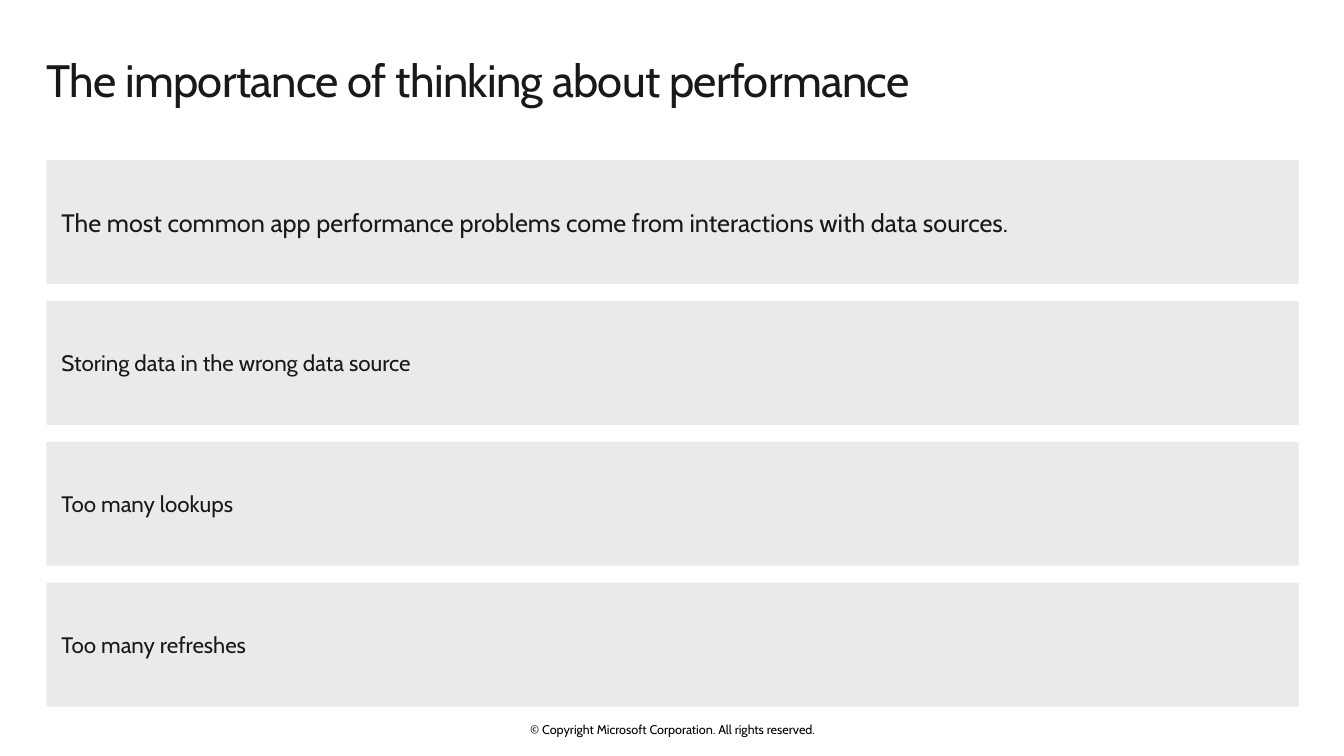
import pptx
import pptx.dml.color
import pptx.enum.shapes
import pptx.enum.text
import pptx.util

Inches = pptx.util.Inches
Pt = pptx.util.Pt
ALIGN = pptx.enum.text.PP_ALIGN
ANCHOR = pptx.enum.text.MSO_ANCHOR

INK = "191919"
PANEL = "EAEAEA"
FONT = "Cabin"
POINTS = [
    ("The most common app performance problems come from interactions with data sources.", 18),
    ("Storing data in the wrong data source", 16),
    ("Too many lookups", 16),
    ("Too many refreshes", 16),
]


def rgb(value):
    return pptx.dml.color.RGBColor.from_string(value)


def write(sp, text, size, color, insets, anchor, align=ALIGN.LEFT):
    tf = sp.text_frame
    tf.word_wrap = True
    tf.vertical_anchor = anchor
    tf.margin_left, tf.margin_top, tf.margin_right, tf.margin_bottom = map(Inches, insets)
    tf.text = text
    p = tf.paragraphs[0]
    p.alignment = align
    r = p.runs[0]
    r.font.name = FONT
    r.font.size = Pt(size)
    r.font.color.rgb = rgb(color)
    return p


def add_title(s, x, y, w, h):
    sp = s.shapes.add_textbox(Inches(x), Inches(y), Inches(w), Inches(h))
    p = write(sp, "The importance of thinking about performance", 32.4, INK,
              (0, 0.1, 0.16, 0.1), ANCHOR.TOP)
    p.line_spacing = 0.9
    p.runs[0].font._element.set("spc", "-50")


def add_points(s, x, y, w, h, gap=0.17):
    row_h = (h - gap * (len(POINTS) - 1)) / len(POINTS)
    for i, (text, size) in enumerate(POINTS):
        sp = s.shapes.add_shape(
            pptx.enum.shapes.MSO_SHAPE.RECTANGLE,
            Inches(x), Inches(y + i * (row_h + gap)), Inches(w), Inches(row_h))
        sp.shadow.inherit = False
        sp.fill.solid()
        sp.fill.fore_color.rgb = rgb(PANEL)
        sp.line.fill.background()
        p = write(sp, text, size, INK, (0.15, 0.1, 0.15, 0.1), ANCHOR.MIDDLE)
        p.space_after = Pt(6)


def add_footer(s, x, y, w, h):
    sp = s.shapes.add_textbox(Inches(x), Inches(y), Inches(w), Inches(h))
    write(sp, "© Copyright Microsoft Corporation. All rights reserved.", 9, "000000",
          (0, 0, 0, 0), ANCHOR.MIDDLE, ALIGN.CENTER)


def main():
    prs = pptx.Presentation()
    prs.slide_width = Inches(13.33)
    prs.slide_height = Inches(7.5)
    s = prs.slides.add_slide(prs.slide_layouts[6])
    add_footer(s, 4.42, 7.16, 4.5, 0.15)
    add_title(s, 0.46, 0.48, 12.42, 0.8)
    add_points(s, 0.46, 1.59, 12.42, 5.42)
    prs.save("out.pptx")


if __name__ == "__main__":
    main()
